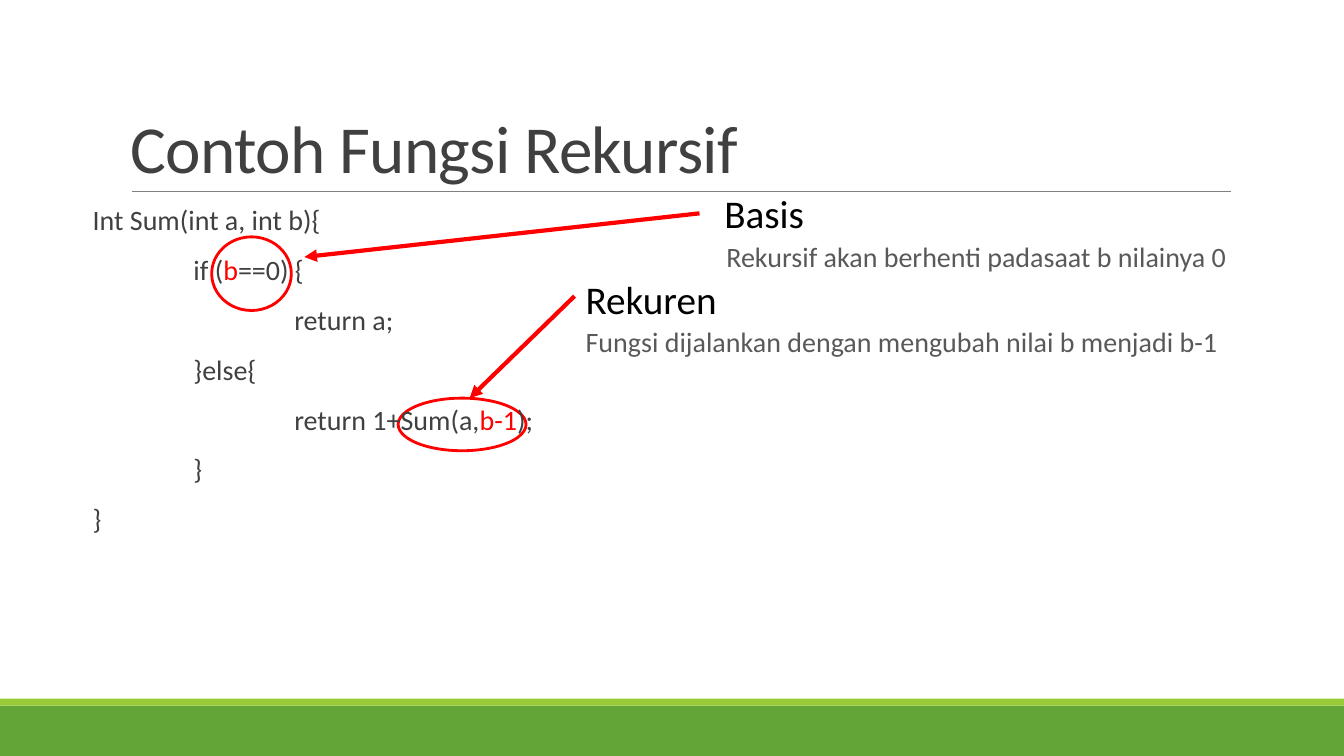
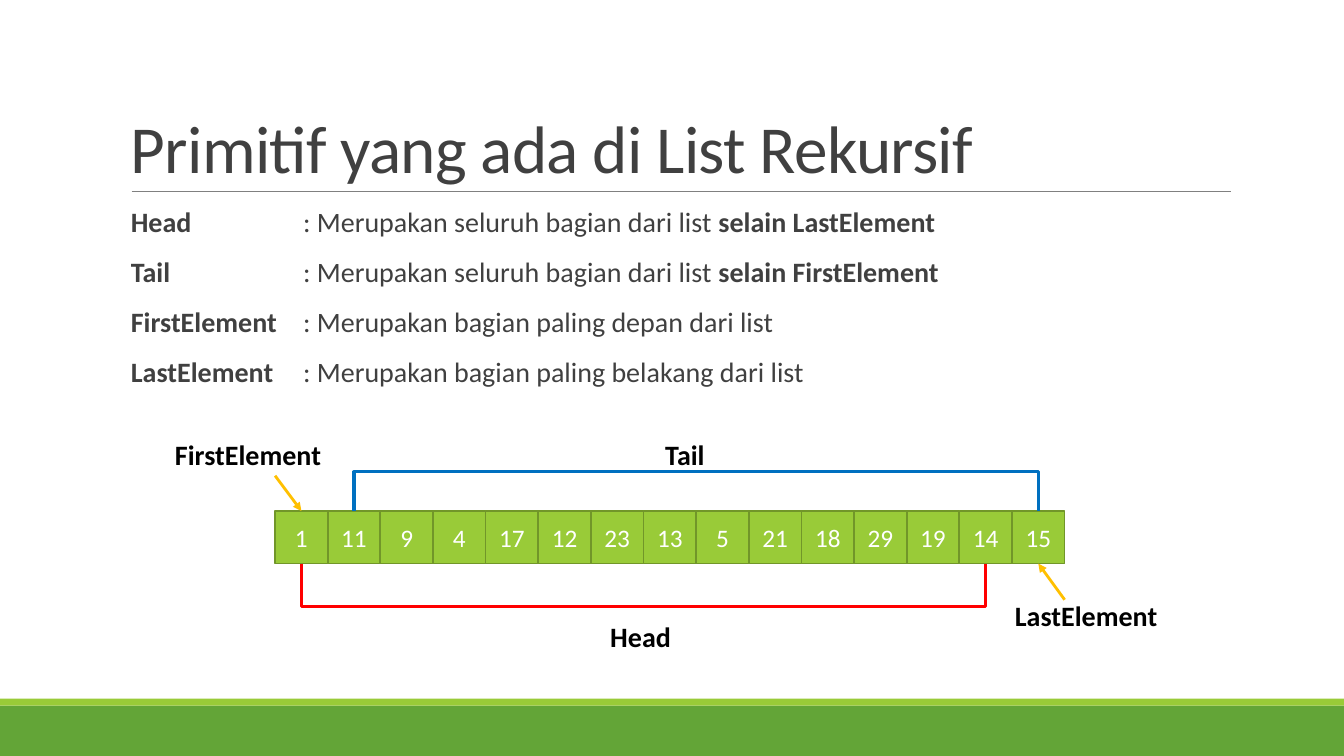
from lxml import etree
from pptx import Presentation
from pptx.dml.color import RGBColor
from pptx.enum import shapes, text
from pptx.oxml.ns import qn
from pptx.util import Pt

FONT = "Calibri"
GREEN, LIME, LIME_EDGE = "63A537", "99CB38", "719629"
DARK, GREY, BLACK, WHITE = "404040", "595959", "000000", "FFFFFF"
RED, BLUE, AMBER = "FF0000", "0070C0", "FFC000"
RECT, OVAL = shapes.MSO_SHAPE.RECTANGLE, shapes.MSO_SHAPE.OVAL
CENTER = text.PP_ALIGN.CENTER
MIDDLE, BOTTOM = text.MSO_ANCHOR.MIDDLE, text.MSO_ANCHOR.BOTTOM
rgb = RGBColor.from_string


def add_box(s, x, y, w, h, paras=(), kind=None, fill=None, line=None, line_w=1.25,
            size=20, color=DARK, bold=False, align=None, anchor=text.MSO_ANCHOR.TOP,
            wrap=True, left=7.2, spacing=None, before=0, after=0, track=None, tab=None):
    at = [Pt(v) for v in (x, y, w, h)]
    if kind is None:
        sp = s.shapes.add_textbox(*at)
    else:
        sp = s.shapes.add_shape(kind, *at)
        sp.shadow.inherit = False
        sp.fill.solid()
        sp.fill.fore_color.rgb = rgb(fill)
        if line:
            sp.line.color.rgb = rgb(line)
            sp.line.width = Pt(line_w)
        else:
            sp.line.fill.background()
    tf = sp.text_frame
    tf.word_wrap = wrap
    tf.vertical_anchor = anchor
    tf.margin_left = Pt(left)
    for i, (indent, runs) in enumerate(paras):
        p = tf.paragraphs[0] if i == 0 else tf.add_paragraph()
        p.alignment = align
        p.line_spacing = spacing
        p.space_before = Pt(before if i else 0)
        p.space_after = Pt(after)
        pPr = p._p.get_or_add_pPr()
        if indent:
            pPr.set("marL", str(Pt(indent)))
        if tab:
            tabs = etree.SubElement(pPr, qn("a:tabLst"))
            etree.SubElement(tabs, qn("a:tab"), pos=str(Pt(tab)), algn="l")
        for words, style in runs:
            r = p.add_run()
            r.text = words
            r.font.name = FONT
            r.font.size = Pt(size)
            r.font.bold = style.get("bold", bold)
            r.font.color.rgb = rgb(style.get("color", color))
            if track:
                r.font._element.set("spc", str(track))
    return sp


def add_line(s, x1, y1, x2, y2, color, width, arrow=True):
    cxn = s.shapes.add_connector(shapes.MSO_CONNECTOR.STRAIGHT, Pt(x1), Pt(y1), Pt(x2), Pt(y2))
    cxn.line.color.rgb = rgb(color)
    cxn.line.width = Pt(width)
    if arrow:
        etree.SubElement(cxn.line._get_or_add_ln(), qn("a:tailEnd"), type="triangle")
    etree.SubElement(cxn._element.spPr, qn("a:effectLst"))


prs = Presentation()
prs.slide_width, prs.slide_height = Pt(960), Pt(540)

slides = []
for title in ("Contoh Fungsi Rekursif", "Primitif yang ada di List Rekursif"):
    s = prs.slides.add_slide(prs.slide_layouts[6])
    add_box(s, 0, 504, 960, 36, kind=RECT, fill=GREEN)
    add_box(s, 0, 499, 960, 5, kind=RECT, fill=LIME)
    add_line(s, 94, 136.8, 879, 136.8, "808080", 0.5, arrow=False)
    add_box(s, 86.4, 22.5, 792, 114.5, [(0, [(title, {})])], size=48,
            anchor=BOTTOM, spacing=0.85, track=-50)
    slides.append(s)
code_slide, list_slide = slides

for x, y, w, h in ((284.4, 284.4, 91.4, 37.6), (151.2, 169.2, 56.9, 52.6)):
    add_box(code_slide, x, y, w, h, kind=OVAL, fill=WHITE, line=RED, line_w=2)

red = {"color": RED}
code = [
    (0, [("Int Sum(int a, int b){", {})]),
    (72, [("if (", {}), ("b", red), ("==0) {", {})]),
    (144, [("return a;", {})]),
    (72, [("}else{", {})]),
    (144, [("return 1+Sum(a,", {}), ("b-1", red), (");", {})]),
    (72, [("}", {})]),
    (0, [("}", {})]),
]
body = {"spacing": 0.9, "before": 12, "after": 2}
add_box(code_slide, 66.2, 144, 433.4, 342.7, code, left=0, **body)

add_line(code_slide, 499.7, 152.4, 217.4, 183.6, RED, 3)
add_line(code_slide, 410.4, 211.5, 335.5, 284.4, RED, 3)

callouts = [
    ("Basis", 509.8, 131.8, 72, 41, 28, BLACK),
    ("Rekuren", 410.4, 193, 109.4, 41, 28, BLACK),
    ("Rekursif akan berhenti padasaat b nilainya 0", 509.8, 167.8, 375.1, 31.7, 20, GREY),
    ("Fungsi dijalankan dengan mengubah nilai b menjadi b-1", 409, 228.2, 470.2, 31.7, 20, GREY),
]
for words, x, y, w, h, size, color in callouts:
    add_box(code_slide, x, y, w, h, [(0, [(words, {})])], size=size, color=color,
            align=CENTER, wrap=False)

primitives = [
    ("Head", "seluruh bagian dari list ", "selain LastElement"),
    ("Tail", "seluruh bagian dari list ", "selain FirstElement"),
    ("FirstElement", "bagian paling depan dari list", ""),
    ("LastElement", "bagian paling belakang dari list", ""),
]
strong = {"bold": True}
rows = []
for name, meaning, exception in primitives:
    runs = [(name, strong), ("\t: Merupakan " + meaning, {})]
    if exception:
        runs.append((exception, strong))
    rows.append((0, runs))
add_box(list_slide, 86.4, 145.4, 792, 316.8, rows, tab=123, **body)

values = [1, 11, 9, 4, 17, 12, 23, 13, 5, 21, 18, 29, 19, 14, 15]
cell, row_x, row_y = 37.6, 196.5, 365
row_bottom = row_y + cell
centers = [row_x + cell * (i + 0.5) for i in range(len(values))]
for cx, value in zip(centers, values):
    add_box(list_slide, cx - cell / 2, row_y, cell, cell, [(0, [(str(value), {})])],
            kind=RECT, fill=LIME, line=LIME_EDGE, size=18, color=WHITE,
            align=CENTER, anchor=MIDDLE, wrap=False)

brackets = [
    (centers[0], centers[-2], row_bottom, 433.4, RED),
    (centers[1], centers[-1], row_y, 337, BLUE),
]
for x1, x2, edge, bar, color in brackets:
    fb = list_slide.shapes.build_freeform(Pt(x1), Pt(edge))
    fb.add_line_segments([(Pt(x), Pt(y)) for x, y in ((x1, bar), (x2, bar), (x2, edge))],
                         close=False)
    sp = fb.convert_to_shape()
    sp.shadow.inherit = False
    sp.fill.background()
    sp.line.color.rgb = rgb(color)
    sp.line.width = Pt(2.25)

add_line(list_slide, row_x, 339.8, centers[0], row_y, AMBER, 2)
add_line(list_slide, centers[-1] + cell / 2, 428.4, centers[-1], row_bottom, AMBER, 2)

labels = [
    ("FirstElement", 117.4, 308.9, 119.5),
    ("LastElement", 717.1, 424.1, 117.4),
    ("Head", 428.4, 439.2, 58.3),
    ("Tail", 468, 308.9, 42.5),
]
for words, x, y, w in labels:
    add_box(list_slide, x, y, w, 31.7, [(0, [(words, {})])], color=BLACK, bold=True,
            align=CENTER, wrap=False)

prs.save("out.pptx")
